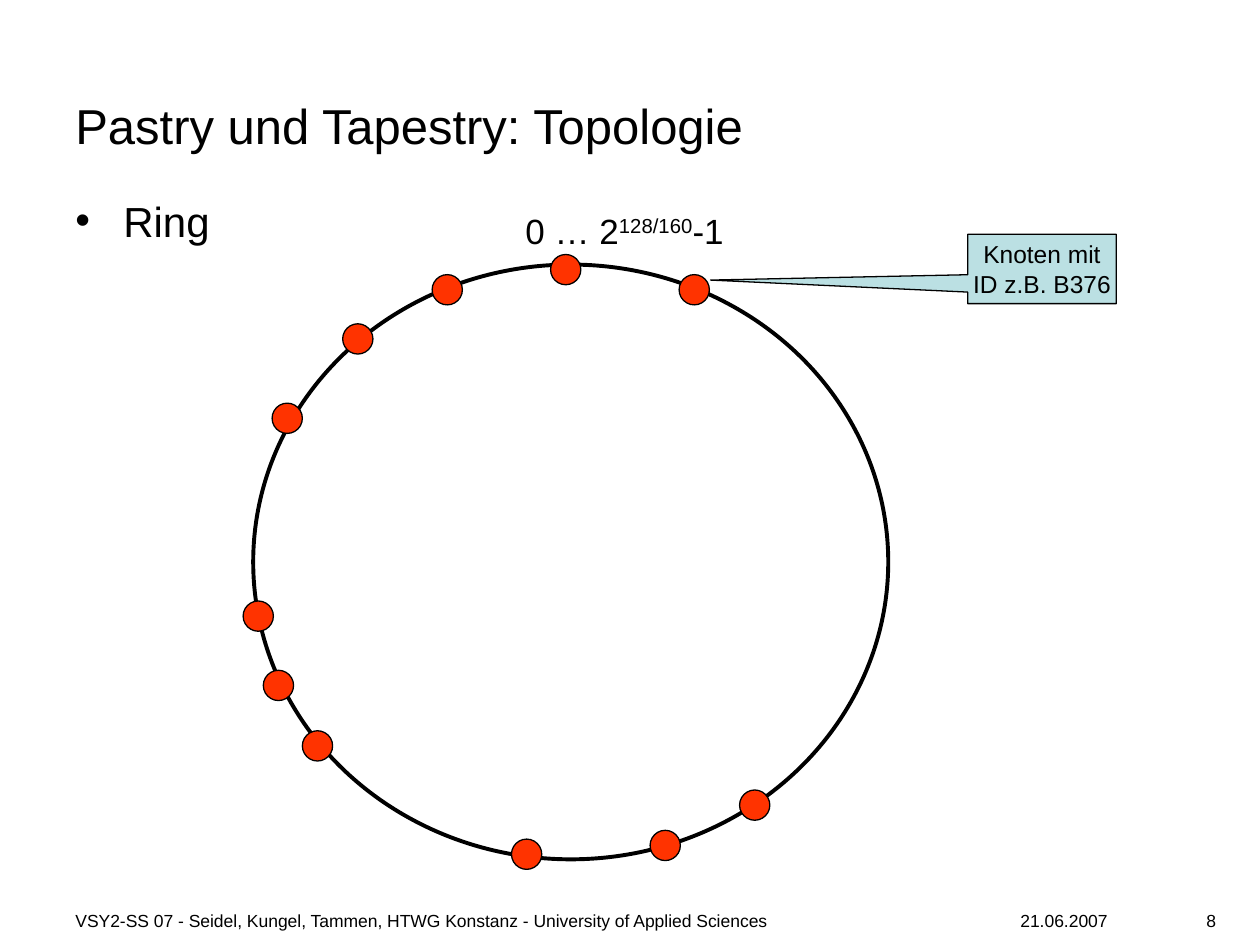
from lxml.etree import SubElement
from pptx import Presentation
from pptx.dml.color import RGBColor
from pptx.enum.shapes import MSO_SHAPE
from pptx.enum.text import MSO_ANCHOR, PP_ALIGN
from pptx.oxml.ns import qn
from pptx.util import Inches, Pt

COLORS = {"ink": "000000", "node": "FF3300", "note": "BBE0E3"}
NODES = [
    (4.37, 2.02), (3.43, 2.18), (2.72, 2.57), (2.16, 3.2), (5.39, 2.18), (1.93, 4.77),
    (2.09, 5.32), (2.4, 5.8), (4.06, 6.66), (5.16, 6.59), (5.87, 6.27),
]
NODE_SIZE = 0.24
FOOTER = [
    (0.5, 7.42, "VSY2-SS 07 - Seidel, Kungel, Tammen, HTWG Konstanz - University of Applied Sciences",
     PP_ALIGN.LEFT),
    (9.25, 0.5, "8", PP_ALIGN.RIGHT),
    (8, 1.17, "21.06.2007", PP_ALIGN.LEFT),
]


class Board:
    font = "Arial"

    def __init__(self, slide):
        self.slide = slide

    def color(self, name):
        return RGBColor.from_string(COLORS[name])

    def label(self, shape, text, size, align=PP_ALIGN.LEFT, inset=(0.1, 0.05), anchor=MSO_ANCHOR.TOP):
        frame = shape.text_frame
        frame.word_wrap = True
        frame.vertical_anchor = anchor
        frame.margin_left = frame.margin_right = Inches(inset[0])
        frame.margin_top = frame.margin_bottom = Inches(inset[1])
        frame.text = text
        para = frame.paragraphs[0]
        para.alignment = align
        for run in para.runs:
            self.style(run, size)
        return para

    def style(self, run, size):
        run.font.name = self.font
        run.font.size = Pt(size)
        run.font.color.rgb = self.color("ink")

    def text(self, box, text, size, **layout):
        shape = self.slide.shapes.add_textbox(*map(Inches, box))
        return self.label(shape, text, size, **layout)

    def bullet(self, box, text, size):
        para = self.text(box, text, size)
        para.space_before = Pt(6)
        props = para._p.get_or_add_pPr()
        props.set("marL", str(Inches(0.38)))
        props.set("indent", str(-Inches(0.38)))
        SubElement(props, qn("a:buFont")).set("typeface", self.font)
        SubElement(props, qn("a:buChar")).set("char", "•")

    def power(self, box, base, power, rest, size):
        """Add a text whose middle part is raised."""
        para = self.text(box, base, size, inset=(0.04, 0.04))
        para.space_before = Pt(12.5)
        for part in (power, rest):
            run = para.add_run()
            run.text = part
            self.style(run, size)
        para.runs[1].font._element.set("baseline", "30000")

    def shape(self, kind, box, fill=None, width=0.75, group=None):
        owner = group or self.slide
        shape = owner.shapes.add_shape(kind, *map(Inches, box))
        shape.shadow.inherit = False
        if fill:
            shape.fill.solid()
            shape.fill.fore_color.rgb = self.color(fill)
        else:
            shape.fill.background()
        shape.line.color.rgb = self.color("ink")
        shape.line.width = Pt(width)
        return shape

    def nodes(self, spots):
        group = self.slide.shapes.add_group_shape()
        for left, top in spots:
            self.shape(MSO_SHAPE.OVAL, (left, top, NODE_SIZE, NODE_SIZE), "node", group=group)

    def callout(self, box, tip, text, size):
        shape = self.shape(MSO_SHAPE.RECTANGULAR_CALLOUT, box, "note")
        shape.adjustments[0], shape.adjustments[1] = tip
        self.label(shape, text, size, align=PP_ALIGN.CENTER, inset=(0.04, 0.04))


def main():
    deck = Presentation()
    deck.slide_width, deck.slide_height = Inches(10), Inches(7.5)
    board = Board(deck.slides.add_slide(deck.slide_layouts[6]))

    board.text((0.5, 0.58, 9.25, 0.83), "Pastry und Tapestry: Topologie", 28, anchor=MSO_ANCHOR.MIDDLE)
    board.bullet((0.5, 1.5, 9.25, 5.58), "Ring", 24)
    board.shape(MSO_SHAPE.OVAL, (2.01, 2.1, 5.04, 4.72), width=2.25)
    board.nodes(NODES)
    board.power((4.13, 1.62, 1.73, 0.41), "0 … 2", "128/160", "-1", 20)
    board.callout((7.68, 1.86, 1.18, 0.55), (-2.23, 0.16), "Knoten mit ID z.B. B376", 14)
    for left, width, text, align in FOOTER:
        board.text((left, 7.17, width, 0.33), text, 10, align=align)

    deck.save("out.pptx")


if __name__ == "__main__":
    main()
